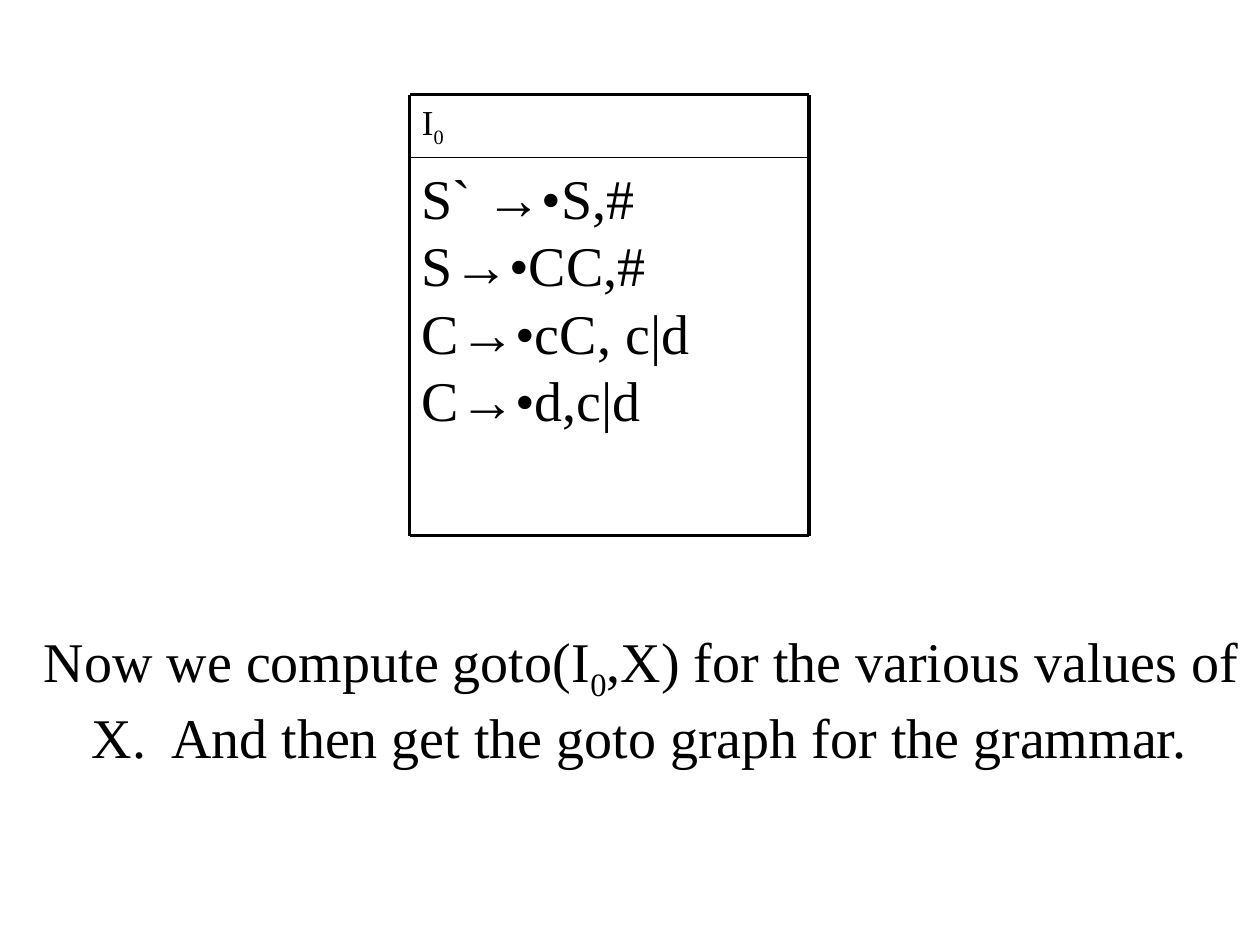
from pptx import Presentation
from pptx import util as u
from pptx.dml.color import RGBColor
from pptx.enum import shapes
from pptx.oxml import parse_xml

COLORS = {"ink": "000000", "paper": "FFFFFF"}
SERIF, SYMBOL = "Times New Roman", "Arial"
BODY, LABEL = 32, 20
HANG = 0.38
ITEMS = [("S` ", "•S,#"), ("S", "•CC,#"), ("C", "•cC, c|d"), ("C", "•d,c|d")]
EFFECTS = '<a:effectLst xmlns:a="http://schemas.openxmlformats.org/drawingml/2006/main"/>'


def add_text(parent, box, lines, size):
    """Write lines of (text, style) spans into a wrapped text box."""
    frame = parent.add_textbox(*map(u.Inches, box)).text_frame
    frame.word_wrap = True
    for index, spans in enumerate(lines):
        para = frame.add_paragraph() if index else frame.paragraphs[0]
        para.font.name, para.font.size = SERIF, u.Pt(size)
        para.font.color.rgb = RGBColor.from_string(COLORS["ink"])
        for words, style in spans:
            span = para.add_run()
            span.text = words
            if style == "symbol":
                span.font.name = SYMBOL
            elif style == "sub":
                span.font._element.set("baseline", "-25000")
    return frame


def add_rule(parent, start, end, weight):
    """Draw one straight rule between two points."""
    rule = parent.add_connector(shapes.MSO_CONNECTOR.STRAIGHT, *map(u.Inches, start + end))
    rule.line.color.rgb = RGBColor.from_string(COLORS["ink"])
    rule.line.width = u.Pt(weight)
    rule._element.spPr.append(parse_xml(EFFECTS))


def add_item_set(page, left, top, width, height):
    """Place the framed item set: a label row above six rows of items."""
    parent = page.shapes.add_group_shape().shapes
    row = height / 7
    right, split, bottom = left + width, top + row, top + height
    items = [[(head, ""), ("→", "symbol"), (body, "")] for head, body in ITEMS]
    add_text(parent, (left, split, width, height - row), items, BODY)
    add_text(parent, (left, top, width, row), [[("I", ""), ("0", "sub")]], LABEL)
    for y, weight in ((top, 2.25), (split, 1), (bottom, 2.25)):
        add_rule(parent, (left, y), (right, y), weight)
    for x in (left, right):
        add_rule(parent, (x, top), (x, bottom), 2.25)


def add_remark(page, *box):
    """Place the closing remark with a hanging indent."""
    spans = [
        ("Now we compute goto(I", ""),
        ("0", "sub"),
        (",X) for the various values of X.  And then get the goto graph for the grammar.", ""),
    ]
    frame = add_text(page.shapes, box, [spans], BODY)
    props = frame.paragraphs[0]._p.get_or_add_pPr()
    props.set("marL", str(u.Inches(HANG)))
    props.set("indent", str(-u.Inches(HANG)))


def main():
    """Build and save the slide."""
    deck = Presentation()
    deck.slide_width, deck.slide_height = u.Inches(10), u.Inches(7.5)
    page = deck.slides.add_slide(deck.slide_layouts[6])
    page.background.fill.solid()
    page.background.fill.fore_color.rgb = RGBColor.from_string(COLORS["paper"])
    add_item_set(page, 3.25, 0.75, 3.17, 3.5)
    add_remark(page, 0.25, 4.92, 9.75, 1.58)
    deck.save("out.pptx")


if __name__ == "__main__":
    main()
